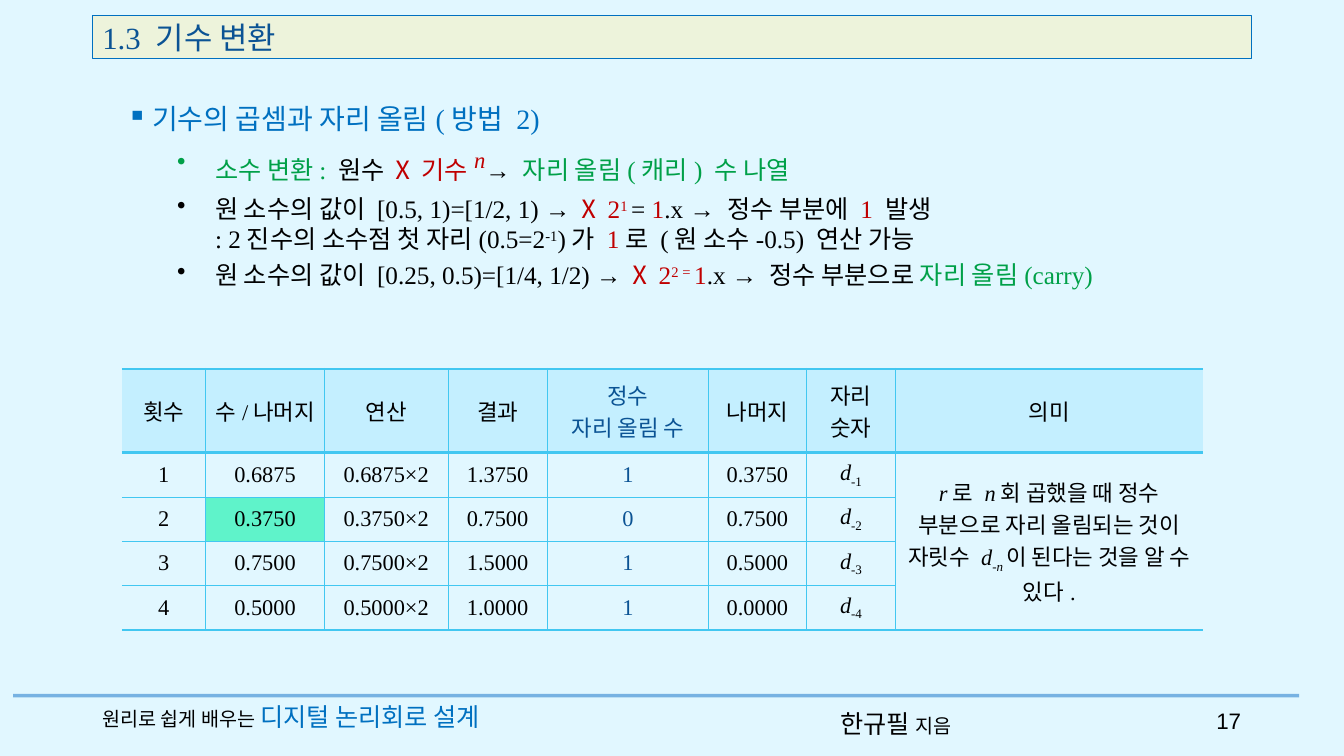
from lxml.etree import SubElement
from pptx import Presentation
from pptx.dml.color import RGBColor
from pptx.enum.shapes import MSO_CONNECTOR, MSO_SHAPE
from pptx.enum.text import MSO_ANCHOR, PP_ALIGN
from pptx.oxml.ns import qn
from pptx.util import Pt

# Content: each run is (text, style, style, ...)
TITLE = [("1.3 기수 변환", "title")]
BOOK = [("원리로 쉽게 배우는 ", "small"), ("디지털 논리회로 설계", "blue")]
AUTHOR = [("한규필 ", "gothic"), ("지음", "gothic", "small")]
PAGE = [("17", "page")]

BODY = [
    (1, "▪", [("기수의 곱셈과 자리 올림(방법 2)", "head")]),
    (2, "•", [("소수 변환:", "green"), (" 원수 ",), ("Ⅹ ", "gothic", "red"),
              ("기수", "red"), ("n", "red", "power"), ("→ ",),
              ("자리 올림(캐리) 수 나열", "green")]),
    (2, "•", [("원 소수의 값이 [0.5, 1)=[1/2, 1) → ",), ("Ⅹ ", "gothic", "red"),
              ("2", "red"), ("1 ", "red", "sup"), ("= ",), ("1", "red"),
              (".x → 정수 부분에 ",), ("1", "red"),
              (" 발생\n: 2진수의 소수점 첫 자리(0.5=2",), ("-1", "sup"),
              (")가 ",), ("1", "red"), ("로 (원 소수-0.5) 연산 가능",)]),
    (2, "•", [("원 소수의 값이 [0.25, 0.5)=[1/4, 1/2) → ",),
              ("Ⅹ ", "gothic", "red"), ("2", "red"), ("2 = ", "red", "sup"),
              ("1", "red"), (".x → 정수 부분으로 ",),
              ("자리 올림(carry)", "green")]),
]

HEADS = ["횟수", "수/나머지", "연산", "결과", "정수\n자리 올림 수",
         "나머지", "자리 숫자", "의미"]
STEPS = [  # number, result, carry, rest
    ("0.6875", "1.3750", "1", "0.3750"),
    ("0.3750", "0.7500", "0", "0.7500"),
    ("0.7500", "1.5000", "1", "0.5000"),
    ("0.5000", "1.0000", "1", "0.0000"),
]
MEANING = [("r", "ital"), ("로 ", "gothic"), ("n", "ital"),
           ("회 곱했을 때 정수 부분으로 자리 올림되는 것이 자릿수 ", "gothic"),
           ("d", "ital"), ("-", "sub"), ("n", "ital", "sub"),
           ("이 된다는 것을 알 수 있다", "gothic"), (".",)]
CARRY, DIGIT, LAST = 4, 6, 7
MARKED = (2, 1)

# Theme
THEME = {
    "back": "E1F7FF", "bar": "EDF3DB", "edge": "0070C0", "rule": "0F6FC6",
    "grid": "42C7F1", "top": "C4EFFF", "mark": "5FF3CA",
    "hangul": "Noto Sans CJK KR", "thick": 1.7, "thin": 0.28,
}
STYLES = {
    "base": {"name": "Times New Roman", "size": Pt(18), "color": "000000"},
    "title": {"size": Pt(22), "color": "0B5394"},
    "head": {"size": Pt(20), "color": "0070C0"},
    "cell": {"size": Pt(16)},
    "small": {"size": Pt(14)},
    "page": {"size": Pt(16), "name": "Arial"},
    "gothic": {"name": THEME["hangul"]},
    "blue": {"color": "0070C0"},
    "navy": {"color": "0B5394"},
    "green": {"color": "00A048"},
    "red": {"color": "C00000"},
    "ital": {"italic": True},
    "sup": {"shift": "30000"},
    "sub": {"shift": "-25000"},
    "power": {"size": Pt(28), "italic": True, "shift": "30000"},
}
LEVELS = {1: (54, -18), 2: (99, -27)}  # margin, indent
COLS = [59.75, 85, 88, 71.25, 115, 70, 63.75, 219.5]
ROWS = [59.75] + [31.65] * len(STEPS)


def hue(code):
    return RGBColor.from_string(code)


def write(par, runs, *common):
    """Fill a paragraph with styled runs; a newline is a line break."""
    for text, *tags in runs:
        form = {}
        for tag in ("base", *common, *tags):
            form.update(STYLES[tag])
        color, shift = form.pop("color"), form.pop("shift", None)
        for num, line in enumerate(text.split("\n")):
            if num:
                par.add_line_break()
            run = par.add_run()
            run.text = line
            for key, val in form.items():
                setattr(run.font, key, val)
            run.font.color.rgb = hue(color)
            props = run.font._element
            SubElement(props, qn("a:ea"), typeface=THEME["hangul"])
            if shift:
                props.set("baseline", shift)


def label(slide, box, runs, align=PP_ALIGN.LEFT):
    frame = slide.shapes.add_textbox(*map(Pt, box)).text_frame
    frame.word_wrap = True
    frame.vertical_anchor = MSO_ANCHOR.MIDDLE
    frame.paragraphs[0].alignment = align
    write(frame.paragraphs[0], runs)


def outline(slide):
    frame = slide.shapes.add_textbox(
        Pt(47.5), Pt(69), Pt(846), Pt(162)).text_frame
    frame.word_wrap = True
    for num, (level, mark, runs) in enumerate(BODY):
        par = frame.add_paragraph() if num else frame.paragraphs[0]
        props = par._p.get_or_add_pPr()
        margin, indent = LEVELS[level]
        props.set("marL", str(Pt(margin)))
        props.set("indent", str(Pt(indent)))
        SubElement(props, qn("a:buChar"), char=mark)
        par.level = level - 1
        par.line_spacing = 1.0
        par.space_before = Pt(4 if num else 0)
        write(par, runs)


def edges(row, col):
    """Border widths of a cell; zero means no line."""
    thick, thin = THEME["thick"], THEME["thin"]
    joined = col == LAST and row > 0
    top = thick if row < 2 else 0 if joined else thin
    low = thick if row in (0, len(STEPS)) or (joined and row == 1) else thin
    if joined and 1 < row < len(STEPS):
        low = 0
    return {"L": thin if col else 0, "R": thin if col < LAST else 0,
            "T": top, "B": low}


def border(cell, sides):
    props = cell._tc.get_or_add_tcPr()
    for side, width in sides.items():
        line = SubElement(props, qn("a:ln" + side), w=str(Pt(width)))
        if width:
            fill = SubElement(line, qn("a:solidFill"))
            SubElement(fill, qn("a:srgbClr"), val=THEME["grid"])
        else:
            SubElement(line, qn("a:noFill"))


def grid(slide):
    # Rows of runs
    data = [[[(text,)] for text in HEADS]]
    for step, (value, result, carry, rest) in enumerate(STEPS, 1):
        plain = [str(step), value, value + "×2", result, carry, rest]
        data.append([[(text,)] for text in plain]
                    + [[("d", "ital"), (f"-{step}", "sub")]])
    data[1].append(MEANING)

    table = slide.shapes.add_table(
        len(ROWS), len(COLS), Pt(87.1), Pt(263.5),
        Pt(sum(COLS)), Pt(sum(ROWS))).table
    table.first_row = table.horz_banding = False
    for col, width in zip(table.columns, COLS):
        col.width = Pt(width)
    for row, height in zip(table.rows, ROWS):
        row.height = Pt(height)
    table.cell(1, LAST).merge(table.cell(len(STEPS), LAST))

    form = {"margin_left": Pt(5), "margin_right": Pt(5),
            "margin_top": Pt(1.4), "margin_bottom": Pt(1.4),
            "vertical_anchor": MSO_ANCHOR.MIDDLE}
    for r in range(len(ROWS)):
        for c in range(len(COLS)):
            cell = table.cell(r, c)
            for key, val in form.items():
                setattr(cell, key, val)
            border(cell, edges(r, c))
            shade = THEME["top"] if r == 0 else None
            if (r, c) == MARKED:
                shade = THEME["mark"]
            if shade:
                cell.fill.solid()
                cell.fill.fore_color.rgb = hue(shade)
            else:
                cell.fill.background()
            if c < len(data[r]):
                par = cell.text_frame.paragraphs[0]
                par.alignment = PP_ALIGN.CENTER
                write(par, data[r][c], "cell", *["navy"] * (c == CARRY))


def main():
    deck = Presentation()
    deck.slide_width, deck.slide_height = Pt(960), Pt(540)
    slide = deck.slides.add_slide(deck.slide_layouts[6])
    slide.background.fill.solid()
    slide.background.fill.fore_color.rgb = hue(THEME["back"])

    # Footer rule, half transparent
    rule = slide.shapes.add_connector(
        MSO_CONNECTOR.STRAIGHT, Pt(9.4), Pt(496.8), Pt(928), Pt(496.8))
    rule.line.width = Pt(2.5)
    rule.line.color.rgb = hue(THEME["rule"])
    props = rule._element.spPr
    SubElement(next(props.iter(qn("a:srgbClr"))), qn("a:alpha"), val="50000")
    SubElement(props, qn("a:effectLst"))

    # Body and table
    outline(slide)
    grid(slide)

    # Footer
    label(slide, (593.3, 502.5, 110, 29), AUTHOR)
    label(slide, (66, 497, 333, 29), BOOK)
    label(slide, (849, 500.4, 44.6, 29), PAGE, PP_ALIGN.RIGHT)

    # Title bar
    bar = slide.shapes.add_shape(
        MSO_SHAPE.RECTANGLE, Pt(66), Pt(11), Pt(828), Pt(31))
    bar.shadow.inherit = False
    bar.fill.solid()
    bar.fill.fore_color.rgb = hue(THEME["bar"])
    bar.line.color.rgb = hue(THEME["edge"])
    bar.line.width = Pt(0.75)
    bar.text_frame.vertical_anchor = MSO_ANCHOR.MIDDLE
    bar.text_frame.paragraphs[0].alignment = PP_ALIGN.LEFT
    write(bar.text_frame.paragraphs[0], TITLE)

    deck.save("out.pptx")


if __name__ == "__main__":
    main()
